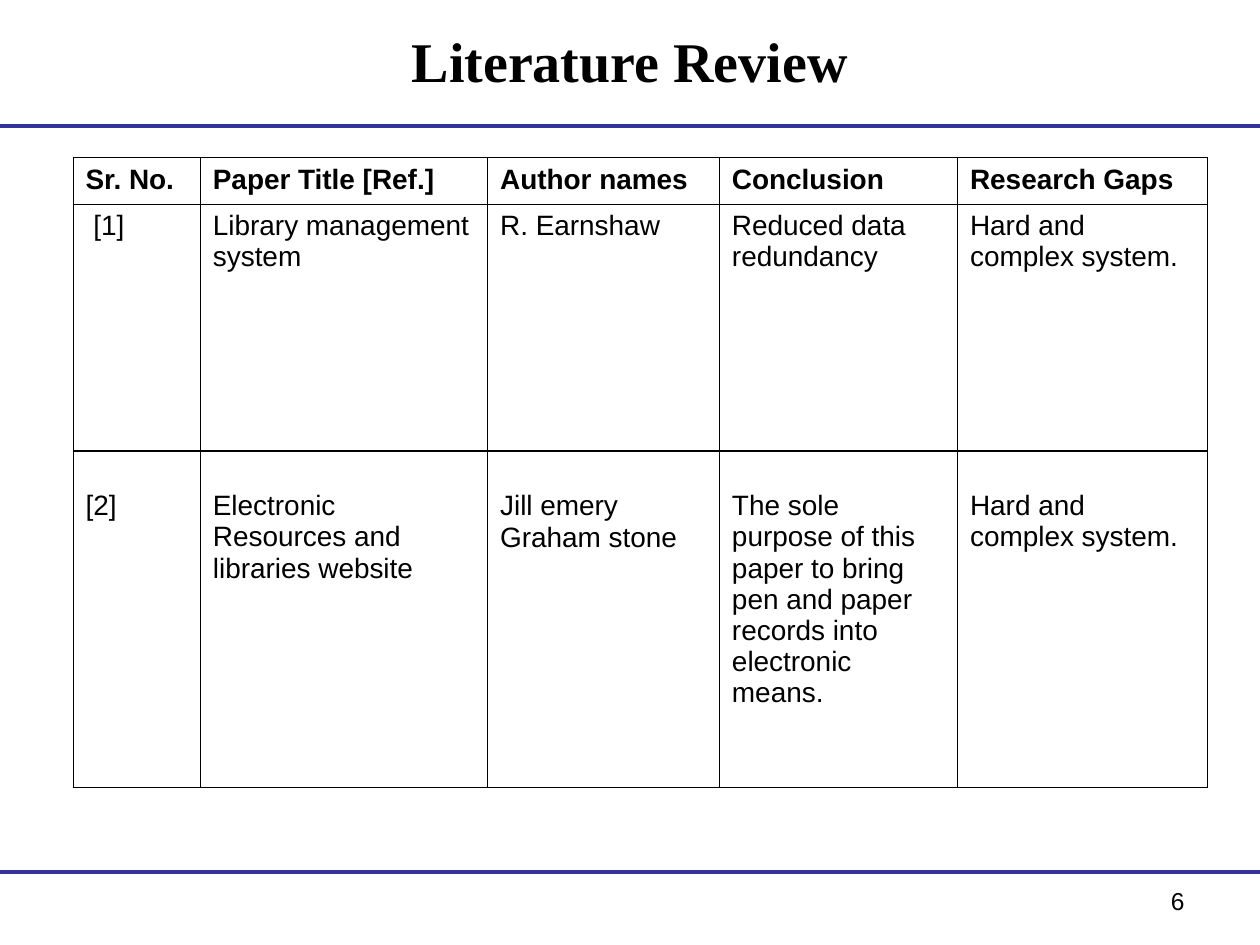
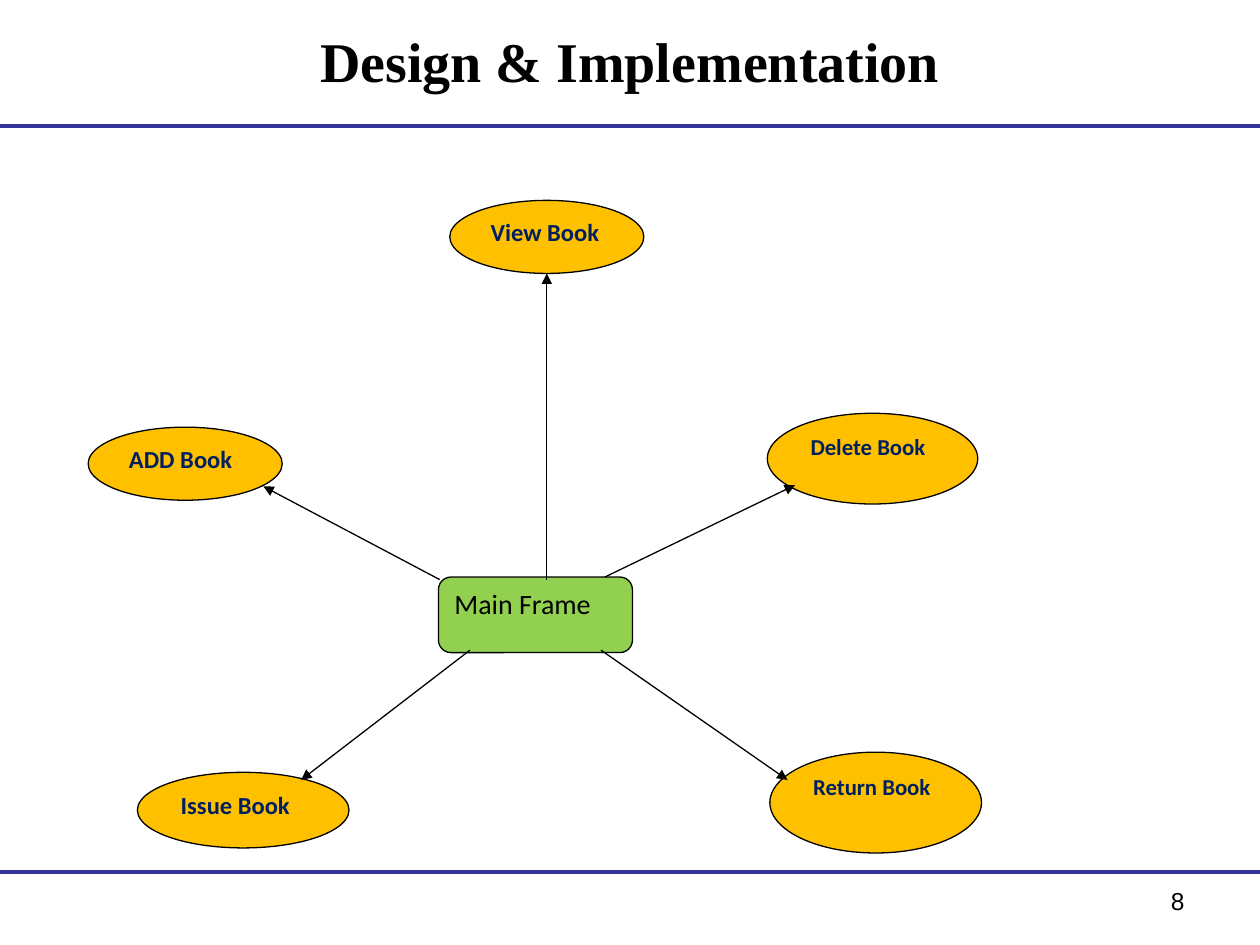
from dataclasses import dataclass

from lxml import etree
from pptx import Presentation
from pptx.dml.color import RGBColor
from pptx.enum.shapes import MSO_CONNECTOR, MSO_SHAPE
from pptx.enum.text import MSO_ANCHOR, PP_ALIGN
from pptx.oxml.ns import qn
from pptx.util import Inches, Pt

STRAIGHT = MSO_CONNECTOR.STRAIGHT
OVAL, ROUNDED = MSO_SHAPE.OVAL, MSO_SHAPE.ROUNDED_RECTANGLE
LEFT, CENTER, RIGHT = PP_ALIGN.LEFT, PP_ALIGN.CENTER, PP_ALIGN.RIGHT
TOP, MIDDLE = MSO_ANCHOR.TOP, MSO_ANCHOR.MIDDLE

BLACK, WHITE, NAVY = "000000", "FFFFFF", "002060"
RULE_BLUE, GREEN, AMBER = "333399", "92D050", "FFC000"
TITLE_FONT, BODY_FONT, NODE_FONT = "Times New Roman", "Arial", "Calibri"

TITLE_ONLY = 5
RULE_HEIGHTS = (1, 6.92)
TABLE_LEFT, TABLE_TOP = 0.58, 1.25
COLUMN_WIDTHS = (1.01, 2.28, 1.84, 1.89, 1.98)
ROW_HEIGHTS = (0.37, 4.63)
DIVIDER_Y = 3.58
LINE_PITCH = 17.8  # points per line of table text
ENTRY_LINES = 9  # lines from one paper to the next


@dataclass
class Column:
    heading: str
    first: str
    second: tuple[str, ...]
    first_lines: int = 1


@dataclass
class Node:
    label: str
    left: float
    top: float
    width: float
    height: float
    size: float = 14
    kind: int = OVAL
    fill: str = AMBER
    color: str = NAVY
    bold: bool = True


@dataclass
class Arrow:
    start: tuple[float, float]
    end: tuple[float, float]


REVIEW = (
    Column("Sr. No.", " [1]", ("[2]",)),
    Column("Paper Title [Ref.]", "Library management system",
           ("Electronic Resources and libraries website",), 2),
    Column("Author names", "R. Earnshaw", ("Jill emery", "Graham stone")),
    Column("Conclusion", "Reduced data redundancy",
           ("The sole purpose of this paper to bring pen and paper records "
            "into electronic means.",), 2),
    Column("Research Gaps", "Hard and complex system.",
           ("Hard and complex system.",), 2),
)

NODES = (
    Node("Main Frame", 3.48, 4.58, 1.54, 0.6, 16, ROUNDED, GREEN, BLACK, False),
    Node("ADD Book", 0.7, 3.39, 1.54, 0.58),
    Node("Issue Book", 1.09, 6.13, 1.68, 0.6),
    Node("Delete Book", 6.09, 3.28, 1.67, 0.72, 13),
    Node("Return Book", 6.11, 5.97, 1.68, 0.8, 13),
    Node("View Book", 3.57, 1.59, 1.54, 0.58),
)

ARROWS = (
    Arrow((3.49, 4.6), (2.09, 3.86)),
    Arrow((4.34, 4.6), (4.34, 2.17)),
    Arrow((4.8, 4.58), (6.31, 3.85)),
    Arrow((3.73, 5.16), (2.39, 6.19)),
    Arrow((4.77, 5.16), (6.25, 6.19)),
)


def rgb(color: str) -> RGBColor:
    return RGBColor.from_string(color)


def write(frame, text: str, *, font: str = BODY_FONT, size: float = 16,
          color: str = BLACK, bold: bool = False, align=LEFT, anchor=None,
          before: float = 0, extra: bool = False) -> None:
    """Write one paragraph; extra adds it after the existing ones."""
    frame.word_wrap = True
    if anchor is not None:
        frame.vertical_anchor = anchor
    para = frame.add_paragraph() if extra else frame.paragraphs[0]
    para.alignment = align
    para.space_before = Pt(before)
    span = para.add_run()
    span.text = text
    span.font.name, span.font.size, span.font.bold = font, Pt(size), bold
    span.font.color.rgb = rgb(color)


def place(shape, left: float, top: float, width: float, height: float) -> None:
    shape.left, shape.top = Inches(left), Inches(top)
    shape.width, shape.height = Inches(width), Inches(height)


def add_line(page, start: tuple[float, float], end: tuple[float, float],
             color: str = BLACK, width: float = 0.75, arrow: bool = False) -> None:
    line = page.shapes.add_connector(
        STRAIGHT, *(Inches(value) for value in (*start, *end)))
    line.line.color.rgb = rgb(color)
    line.line.width = Pt(width)
    properties = line._element.spPr
    if arrow:
        etree.SubElement(properties.find(qn("a:ln")), qn("a:tailEnd"), type="triangle")
    etree.SubElement(properties, qn("a:effectLst"))


def add_page(deck, title: str, number: int):
    """Start a page with its title, rules and page number."""
    page = deck.slides.add_slide(deck.slide_layouts[TITLE_ONLY])
    for height in RULE_HEIGHTS:
        add_line(page, (0, height), (10, height), RULE_BLUE, 2.25)
    place(page.shapes.title, 0.5, 0.13, 9, 0.7)
    write(page.shapes.title.text_frame, title, font=TITLE_FONT, size=32,
          bold=True, align=CENTER, anchor=MIDDLE)
    box = page.shapes.add_textbox(
        Inches(7.17), Inches(6.98), Inches(2.33), Inches(0.52))
    write(box.text_frame, str(number), size=14, align=RIGHT)
    return page


def style_cell(cell) -> None:
    """White fill and thin black borders."""
    cell.fill.solid()
    cell.fill.fore_color.rgb = rgb(WHITE)
    properties = cell._tc.get_or_add_tcPr()
    for index, side in enumerate(("a:lnL", "a:lnR", "a:lnT", "a:lnB")):
        border = etree.Element(qn(side), w=str(Pt(0.45)))
        fill = etree.SubElement(border, qn("a:solidFill"))
        etree.SubElement(fill, qn("a:srgbClr"), val=BLACK)
        properties.insert(index, border)


def add_review_table(page) -> None:
    table = page.shapes.add_table(
        len(ROW_HEIGHTS), len(REVIEW), Inches(TABLE_LEFT), Inches(TABLE_TOP),
        Inches(sum(COLUMN_WIDTHS)), Inches(sum(ROW_HEIGHTS))).table
    table.first_row = table.horz_banding = False
    for row, height in zip(table.rows, ROW_HEIGHTS):
        row.height = Inches(height)
    for index, (column, width) in enumerate(zip(REVIEW, COLUMN_WIDTHS)):
        table.columns[index].width = Inches(width)
        heading, entries = table.cell(0, index), table.cell(1, index)
        style_cell(heading)
        style_cell(entries)
        write(heading.text_frame, column.heading, bold=True)
        write(entries.text_frame, column.first)
        gap = (ENTRY_LINES - column.first_lines) * LINE_PITCH
        for line, text in enumerate(column.second):
            write(entries.text_frame, text, extra=True, before=0 if line else gap)


def add_node(page, node: Node) -> None:
    shape = page.shapes.add_shape(node.kind, 0, 0, 0, 0)
    place(shape, node.left, node.top, node.width, node.height)
    shape.shadow.inherit = False
    shape.fill.solid()
    shape.fill.fore_color.rgb = rgb(node.fill)
    shape.line.color.rgb = rgb(BLACK)
    shape.line.width = Pt(0.75)
    write(shape.text_frame, node.label, font=NODE_FONT, size=node.size,
          color=node.color, bold=node.bold, anchor=TOP)


def main() -> None:
    deck = Presentation()
    deck.slide_width, deck.slide_height = Inches(10), Inches(7.5)

    # Literature table, with a divider between the two papers
    page = add_page(deck, "Literature Review", 6)
    add_review_table(page)
    add_line(page, (TABLE_LEFT, DIVIDER_Y),
             (TABLE_LEFT + sum(COLUMN_WIDTHS), DIVIDER_Y))

    # Main frame and the book screens it opens
    page = add_page(deck, "Design & Implementation", 8)
    for node in NODES:
        add_node(page, node)
    for arrow in ARROWS:
        add_line(page, arrow.start, arrow.end, arrow=True)

    deck.save("out.pptx")


if __name__ == "__main__":
    main()
